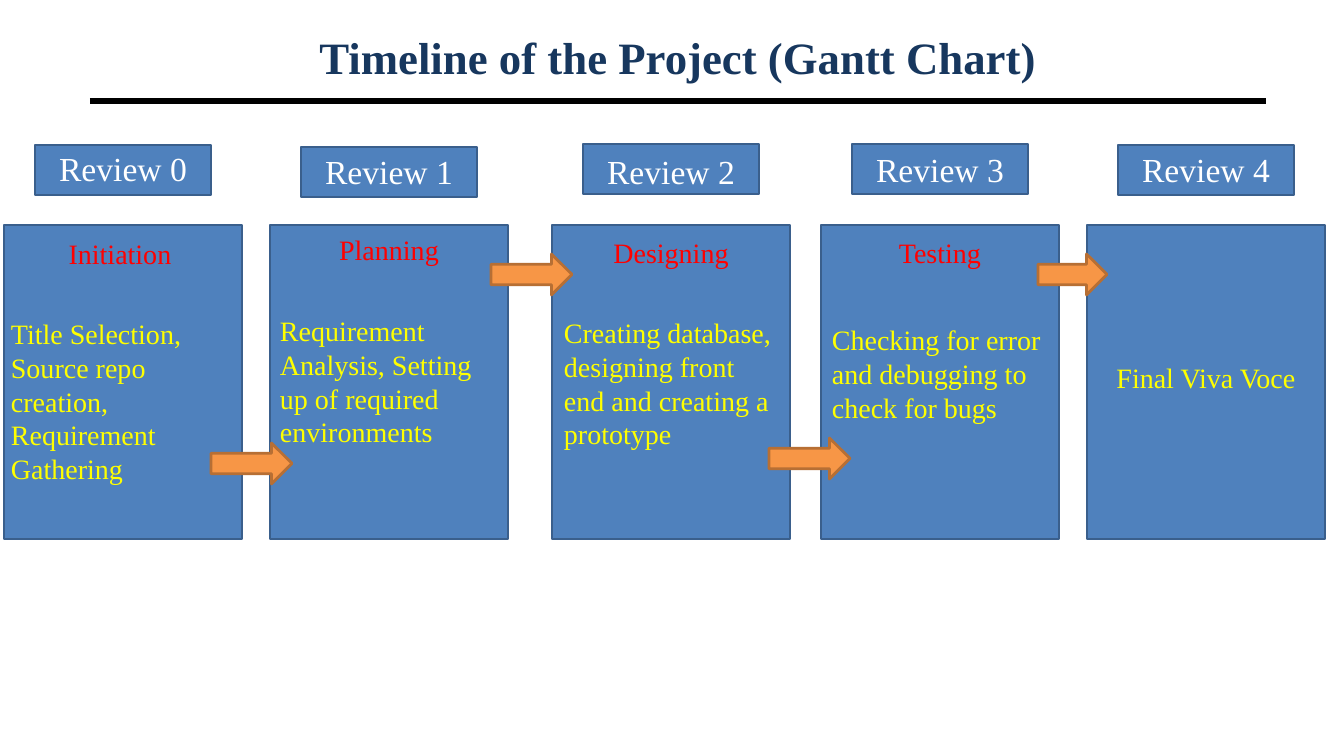
import pptx
import pptx.util
import pptx.dml.color
import pptx.enum.shapes
import pptx.enum.text
import pptx.oxml

RGBColor = pptx.dml.color.RGBColor
SHAPES = pptx.enum.shapes.MSO_SHAPE
ALIGN = pptx.enum.text.PP_ALIGN
ANCHOR = pptx.enum.text.MSO_ANCHOR

BLACK = RGBColor(0x00, 0x00, 0x00)
WHITE = RGBColor(0xFF, 0xFF, 0xFF)
NAVY = RGBColor(0x17, 0x37, 0x5E)
RED = RGBColor(0xFF, 0x00, 0x00)
YELLOW = RGBColor(0xFF, 0xFF, 0x00)
BLUE = RGBColor(0x4F, 0x81, 0xBD)
BLUE_EDGE = RGBColor(0x3A, 0x5F, 0x8C)
ORANGE = RGBColor(0xF7, 0x96, 0x46)
ORANGE_EDGE = RGBColor(0xB7, 0x6F, 0x34)

TITLE = "Timeline of the Project (Gantt Chart)"
# Each stage: panel left, label (text, box top, text top),
# heading (text, left, top), task (lines, left, top, alignment)
STAGES = [
    (4, ("Review 0", 145, 143), ("Initiation", 1, 232),
     (["Title Selection, Source repo creation,", "Requirement Gathering"],
      1, 312, ALIGN.LEFT)),
    (270, ("Review 1", 147, 146), ("Planning", 270, 228),
     (["Requirement Analysis, Setting up of required environments"],
      270, 309, ALIGN.LEFT)),
    (552, ("Review 2", 144, 146), ("Designing", 552, 231),
     (["Creating database, designing front end and creating a prototype"],
      554, 311, ALIGN.LEFT)),
    (821, ("Review 3", 144, 144), ("Testing", 821, 231),
     (["Checking for error and debugging to check for bugs"],
      822, 318, ALIGN.LEFT)),
    (1087, ("Review 4", 145, 144), None,
     (["Final Viva Voce"], 1088, 356, ALIGN.CENTER)),
]
# Arrows: left, top, width
ARROWS = [(211, 443, 81), (491, 254, 81), (769, 438, 81), (1038, 254, 69)]

PANEL_TOP, PANEL_WIDTH, PANEL_HEIGHT = 225, 238, 314
LABEL_INSET, LABEL_HEIGHT = 31, 50
LABEL_WIDTH = PANEL_WIDTH - 2 * LABEL_INSET
ARROW_HEIGHT = 41
HEADING_HEIGHT = 44
LINE_HEIGHT = 34
RULE_LEFT, RULE_RIGHT, RULE_TOP = 90, 1266, 101


def px(length):
    return pptx.util.Emu(round(length * 914400 / 100.8))


def write(shape, lines, size, color, alignment=ALIGN.CENTER, bold=False):
    frame = shape.text_frame
    frame.word_wrap = True
    frame.text = "\n".join(lines)
    font_format = {"name": "Times New Roman", "size": pptx.util.Pt(size), "bold": bold}
    for paragraph in frame.paragraphs:
        paragraph.alignment = alignment
        font = paragraph.runs[0].font
        for name, value in font_format.items():
            setattr(font, name, value)
        font.color.rgb = color


def add_block(slide, kind, box, fill, edge):
    shape = slide.shapes.add_shape(kind, *map(px, box))
    shape.shadow.inherit = False
    shape.fill.solid()
    shape.fill.fore_color.rgb = fill
    shape.line.color.rgb = edge
    shape.line.width = pptx.util.Pt(2)


def add_text(slide, box, *text_format):
    write(slide.shapes.add_textbox(*map(px, box)), *text_format)


def add_title(slide):
    title = slide.shapes.title
    place = {"left": 90, "top": 30, "width": 1176, "height": 54}
    for name, value in place.items():
        setattr(title, name, px(value))
    write(title, [TITLE], 32, NAVY, ALIGN.CENTER, True)
    title.text_frame.vertical_anchor = ANCHOR.MIDDLE

    rule = slide.shapes.add_connector(
        pptx.enum.shapes.MSO_CONNECTOR.STRAIGHT,
        px(RULE_LEFT), px(RULE_TOP), px(RULE_RIGHT), px(RULE_TOP))
    rule.line.color.rgb = BLACK
    rule.line.width = pptx.util.Pt(4.5)
    rule._element.spPr.append(pptx.oxml.parse_xml(
        '<a:effectLst xmlns:a="http://schemas.openxmlformats.org/drawingml/2006/main"/>'))


def main():
    presentation = pptx.Presentation()
    presentation.slide_width = px(1344)
    presentation.slide_height = px(756)
    slide = presentation.slides.add_slide(presentation.slide_layouts[5])
    add_title(slide)

    for left, (label, box_top, text_top), _, _ in STAGES:
        label_left = left + LABEL_INSET
        add_block(slide, SHAPES.RECTANGLE,
                  (label_left, box_top, LABEL_WIDTH, LABEL_HEIGHT), BLUE, BLUE_EDGE)
        add_text(slide, (label_left, text_top, LABEL_WIDTH, LABEL_HEIGHT),
                 [label], 24, WHITE)
        add_block(slide, SHAPES.RECTANGLE,
                  (left, PANEL_TOP, PANEL_WIDTH, PANEL_HEIGHT), BLUE, BLUE_EDGE)

    for left, top, width in ARROWS:
        add_block(slide, SHAPES.RIGHT_ARROW,
                  (left, top, width, ARROW_HEIGHT), ORANGE, ORANGE_EDGE)

    for _, _, heading, (lines, left, top, alignment) in STAGES:
        if heading:
            text, heading_left, heading_top = heading
            add_text(slide, (heading_left, heading_top, PANEL_WIDTH, HEADING_HEIGHT),
                     [text], 20, RED)
        # About 18 characters fit on one row of a panel
        rows = sum(-(-len(line) // 18) for line in lines)
        add_text(slide, (left, top, PANEL_WIDTH - 2, 10 + rows * LINE_HEIGHT),
                 lines, 20, YELLOW, alignment)

    presentation.save("out.pptx")


if __name__ == "__main__":
    main()
